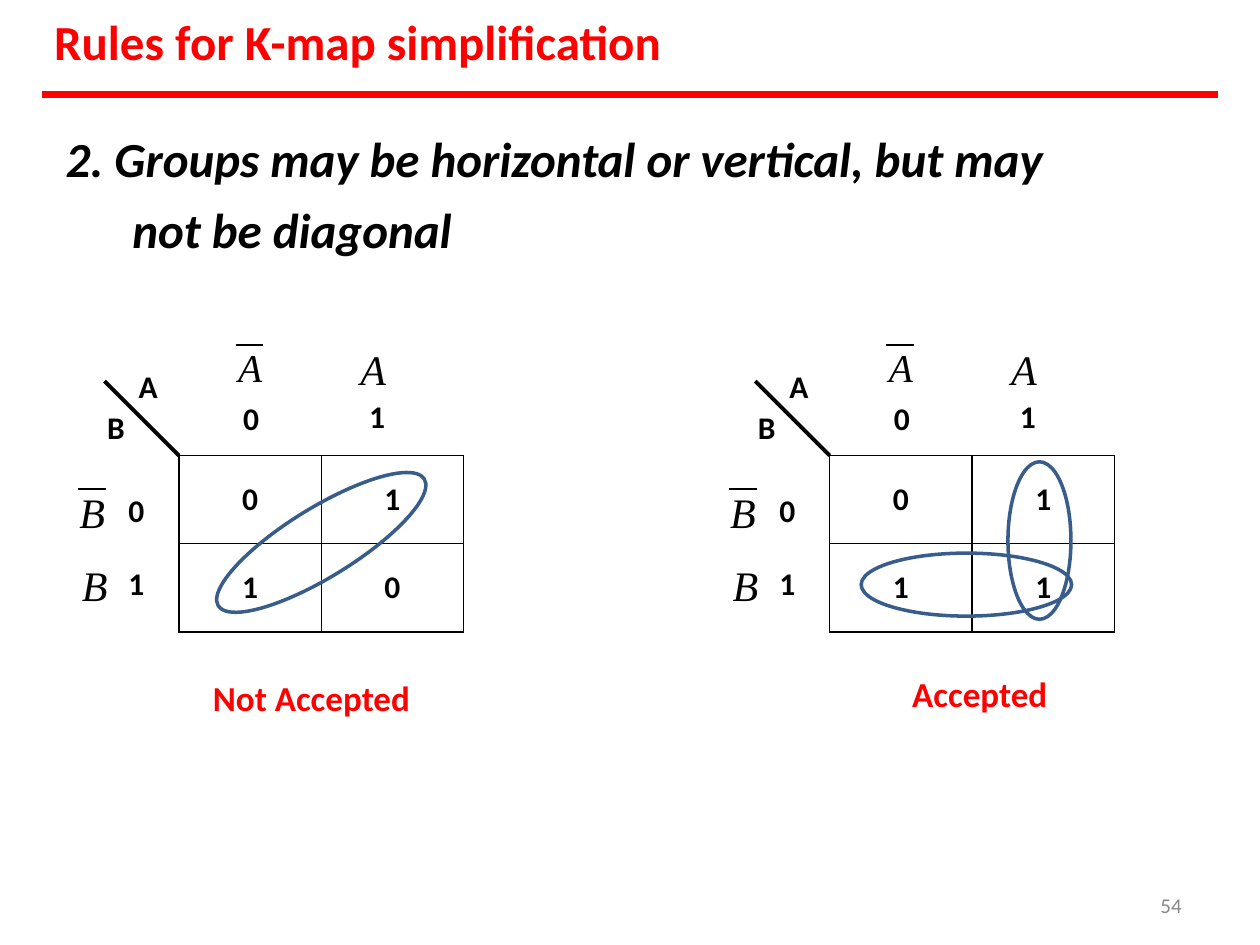
from lxml.etree import SubElement
from pptx import Presentation
from pptx.dml.color import RGBColor
from pptx.enum.shapes import MSO_CONNECTOR, MSO_SHAPE
from pptx.enum.text import MSO_ANCHOR, PP_ALIGN
from pptx.oxml.ns import qn
from pptx.util import Inches, Pt

RED = RGBColor(0xFF, 0x00, 0x00)
BLACK = RGBColor(0x00, 0x00, 0x00)
GRAY = RGBColor(0x88, 0x88, 0x88)
BLUE = RGBColor(0x38, 0x5D, 0x8A)

deck = Presentation()
deck.slide_width, deck.slide_height = Inches(10), Inches(7.5)
COLUMN = deck.slide_width // 100
ROW = deck.slide_height // 75
page = deck.slides.add_slide(deck.slide_layouts[5])


def write(box, left, top, width, height, lines, color=BLACK, inset=0.1):
    box.left, box.top = round(left * COLUMN), round(top * ROW)
    box.width, box.height = round(width * COLUMN), round(height * ROW)
    frame = box.text_frame
    frame.word_wrap = True
    frame.vertical_anchor = MSO_ANCHOR.TOP
    frame.margin_left = frame.margin_right = frame.margin_bottom = 0
    frame.margin_top = round(inset * ROW)
    frame.text = "\n".join(line[0] for line in lines)
    for para, (text, size, font, bold, italic, indent, gap) in zip(frame.paragraphs, lines):
        para.alignment = PP_ALIGN.LEFT
        para.space_before = Pt(gap)
        para._p.get_or_add_pPr().set("marL", str(round(indent * COLUMN)))
        for span in para.runs:
            span.font.name, span.font.size = font, Pt(size)
            span.font.bold, span.font.italic = bold, italic
            span.font.color.rgb = color
    return box


def draw_line(x1, y1, x2, y2, color, weight):
    line = page.shapes.add_connector(
        MSO_CONNECTOR.STRAIGHT,
        round(x1 * COLUMN), round(y1 * ROW), round(x2 * COLUMN), round(y2 * ROW))
    line.line.color.rgb, line.line.width = color, Pt(weight)
    SubElement(line._element.spPr, qn("a:effectLst"))


write(page.shapes.title, 4.2, 0.8, 50, 5,
      [("Rules for K-map simplification", 28, "Calibri", True, False, 0.1, 0)], RED)
draw_line(3.3, 7.5, 96.7, 7.5, RED, 4)
rule = write(page.shapes.add_textbox(0, 0, 0, 0), 5, 9.2, 78.1, 11.5,
             [("2. Groups may be horizontal or vertical, but may not be diagonal",
               28, "Calibri", True, True, 5.5, 0)])
rule_para = rule.text_frame.paragraphs[0]
rule_para.line_spacing = 1.2
rule_para._p.get_or_add_pPr().set("indent", str(round(-5.3 * COLUMN)))

GRID_TOP = 36.15
CELL_WIDTH, CELL_HEIGHT = 11.3, 7
MATH = ("Times New Roman", False, True)
DIGIT = ("Calibri", True, False)
LABELS = [
    (-3.3, 29, 1.8, 3.3, 0.1, [("A", 18, *DIGIT, 0.1, 0)]),
    (-5.8, 32.3, 1.7, 3.3, 0.1, [("B", 18, *DIGIT, 0.1, 0)]),
    (-4.1, 38.9, 1.5, 3.3, 0.1, [("0", 18, *DIGIT, 0.1, 0)]),
    (-4.1, 44.7, 1.5, 3.3, 0.1, [("1", 18, *DIGIT, 0.1, 0)]),
    (-8, 36.6, 2.6, 12, 2, [("B", 24, *MATH, 0.1, 0), ("B", 24, *MATH, 0.3, 13.2)]),
    (4.6, 26.2, 2.4, 8.6, 1, [("A", 22.5, *MATH, 0.1, 0), ("0", 18, *DIGIT, 0.5, 5)]),
    (14.3, 26.8, 2.4, 7.9, 0.5, [("A", 24, *MATH, 0.1, 0), ("1", 18, *DIGIT, 0.8, 1.7)]),
]

for grid_left, values in [(14.2, ["01", "10"]), (65.85, ["01", "11"])]:
    grid = page.shapes.add_table(
        2, 2, round(grid_left * COLUMN), round(GRID_TOP * ROW),
        round(2 * CELL_WIDTH * COLUMN), round(2 * CELL_HEIGHT * ROW)).table
    grid.first_row = grid.horz_banding = False
    for row, digits in enumerate(values):
        for column, digit in enumerate(digits):
            cell = grid.cell(row, column)
            cell.text = digit
            cell.vertical_anchor = MSO_ANCHOR.MIDDLE
            cell.margin_left = cell.margin_right = cell.margin_top = cell.margin_bottom = 0
            para = cell.text_frame.paragraphs[0]
            para.alignment = PP_ALIGN.CENTER
            font = para.runs[0].font
            font.name, font.size, font.bold = "Calibri", Pt(18), True
            font.color.rgb = BLACK
            properties = cell._tc.get_or_add_tcPr()
            for side in ("a:lnL", "a:lnR", "a:lnT", "a:lnB"):
                border = SubElement(properties, qn(side), w=str(Pt(1)))
                paint = SubElement(border, qn("a:solidFill"))
                SubElement(paint, qn("a:srgbClr"), val=str(BLACK))
            cell.fill.background()

    draw_line(grid_left, GRID_TOP, grid_left - 5.9, GRID_TOP - 5.9, BLACK, 2.25)
    draw_line(grid_left - 8, 38.8, grid_left - 5.8, 38.8, BLACK, 1.2)
    draw_line(grid_left + 4.5, 27.4, grid_left + 6.7, 27.4, BLACK, 1.1)
    for offset, top, width, height, inset, lines in LABELS:
        write(page.shapes.add_textbox(0, 0, 0, 0),
              grid_left + offset, top, width, height, lines, inset=inset)

for center_x, center_y, width, height, angle in [
        (25.5, 43.05, 19.2, 5.5, -31.6),
        (76.7, 46.4, 16.7, 5, 0),
        (82.5, 42.9, 5, 12.5, 0)]:
    group = page.shapes.add_shape(
        MSO_SHAPE.OVAL,
        round((center_x - width / 2) * COLUMN), round((center_y - height / 2) * ROW),
        round(width * COLUMN), round(height * ROW))
    group.rotation = angle
    group.shadow.inherit = False
    group.fill.background()
    group.line.color.rgb, group.line.width = BLUE, Pt(2)

for left, top, width, height, text, size, bold, color in [
        (16.7, 53.6, 17, 3.6, "Not Accepted", 20, True, RED),
        (72.2, 53.3, 12, 3.6, "Accepted", 20, True, RED),
        (91.9, 70.7, 2.5, 1.9, "54", 12, False, GRAY)]:
    write(page.shapes.add_textbox(0, 0, 0, 0), left, top, width, height,
          [(text, size, "Calibri", bold, False, 0.2, 0)], color)

deck.save("out.pptx")
